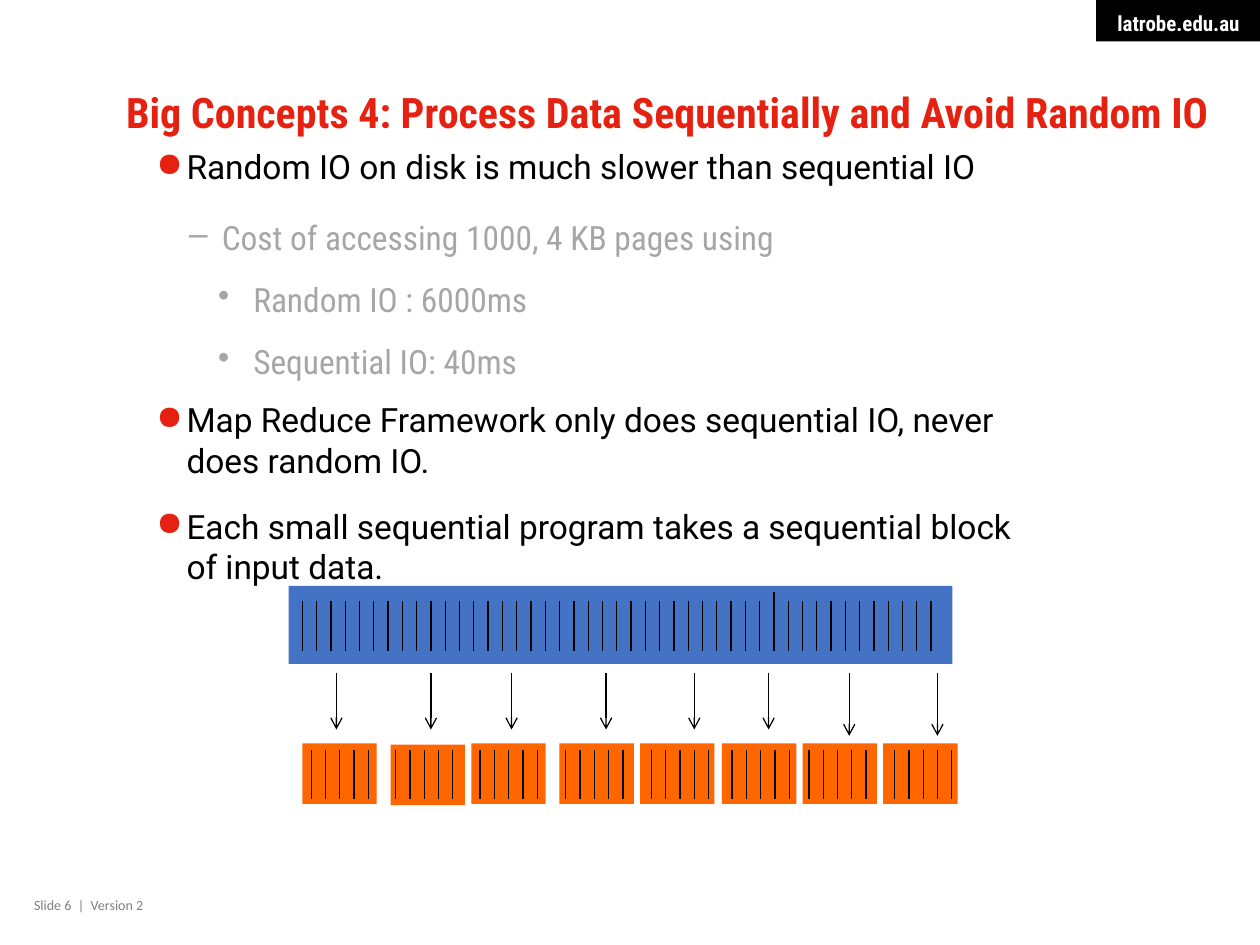
from lxml.etree import SubElement
from pptx import Presentation
from pptx.dml.color import RGBColor
from pptx.enum.shapes import MSO_CONNECTOR, MSO_SHAPE
from pptx.enum.text import MSO_ANCHOR, PP_ALIGN
from pptx.oxml.ns import qn
from pptx.util import Inches, Pt

COLORS = {
    "red": "E52212",
    "black": "000000",
    "white": "FFFFFF",
    "gray": "A6A6A6",
    "footer": "7F7F7F",
    "blue": "4472C4",
    "orange": "FF6600",
}
CONDENSED = "Roboto Condensed"
TICK_GAP = 4.99 / 44
TALL_TICK = 33

LEVELS = [
    dict(mark="●", mark_color="red", left=0.24, hang=0.24, font="Roboto",
         color="black", spacing=None, before=0, after=15),
    dict(mark="–", mark_color="gray", left=0.52, hang=0.26, font=CONDENSED,
         color="gray", spacing=0.9, before=5, after=10),
    dict(mark="•", mark_color="gray", left=0.77, hang=0.28, font=CONDENSED,
         color="gray", spacing=0.9, before=5, after=10),
]
POINTS = [
    (0, "Random IO on disk is much slower than sequential IO"),
    (1, "Cost of accessing 1000, 4 KB pages using"),
    (2, "Random IO : 6000ms"),
    (2, "Sequential IO: 40ms"),
    (0, "Map Reduce Framework only does sequential IO, never does random IO."),
    (0, "Each small sequential program takes a sequential block of input data."),
]
BLOCKS = [
    dict(left=2.40, top=5.90, tick=2.47, arrow=2.67, tip=5.79),
    dict(left=3.10, top=5.91, tick=3.14, arrow=3.42, tip=5.79),
    dict(left=3.74, top=5.90, tick=3.81, arrow=4.06, tip=5.79),
    dict(left=4.44, top=5.90, tick=4.49, arrow=4.81, tip=5.79),
    dict(left=5.08, top=5.90, tick=5.17, arrow=5.51, tip=5.79),
    dict(left=5.73, top=5.90, tick=5.81, arrow=6.10, tip=5.79),
    dict(left=6.37, top=5.90, tick=6.42, arrow=6.74, tip=5.84),
    dict(left=7.01, top=5.90, tick=7.10, arrow=7.44, tip=5.84),
]


class Painter:
    """Hold the style and the current page, and draw each kind of element."""

    def __init__(self, page):
        self.page = page

    def color(self, name):
        return RGBColor.from_string(COLORS[name])

    def rect(self, left, top, width, height, fill):
        box = self.page.shapes.add_shape(
            MSO_SHAPE.RECTANGLE, Inches(left), Inches(top), Inches(width), Inches(height))
        box.shadow.inherit = False
        box.fill.solid()
        box.fill.fore_color.rgb = self.color(fill)
        box.line.fill.background()
        return box

    def frame(self, box, margins=(0, 0, 0, 0), wrap=True):
        frame = box.text_frame
        frame.word_wrap = wrap
        frame.vertical_anchor = MSO_ANCHOR.TOP
        (frame.margin_left, frame.margin_top,
         frame.margin_right, frame.margin_bottom) = map(Inches, margins)
        return frame

    def text_box(self, left, top, width, height, margins=(0, 0, 0, 0)):
        box = self.page.shapes.add_textbox(
            Inches(left), Inches(top), Inches(width), Inches(height))
        return self.frame(box, margins)

    def span(self, para, text, size, font, color, bold=False):
        span = para.add_run()
        span.text = text
        span.font.size = Pt(size)
        span.font.name = font
        span.font.bold = bold
        span.font.color.rgb = self.color(color)

    def point(self, para, level, text):
        style = LEVELS[level]
        para.level = level
        props = para._p.get_or_add_pPr()
        props.set("marL", str(Inches(style["left"])))
        props.set("indent", str(-Inches(style["hang"])))
        tint = SubElement(props, qn("a:buClr"))
        SubElement(tint, qn("a:srgbClr"), val=COLORS[style["mark_color"]])
        SubElement(props, qn("a:buChar"), char=style["mark"])
        para.line_spacing = style["spacing"]
        para.space_before = Pt(style["before"])
        para.space_after = Pt(style["after"])
        self.span(para, text, 19.1, style["font"], style["color"])

    def line(self, x, top, bottom, arrow=False):
        line = self.page.shapes.add_connector(
            MSO_CONNECTOR.STRAIGHT, Inches(x), Inches(top), Inches(x), Inches(bottom))
        line.line.color.rgb = self.color("black")
        line.line.width = Pt(0.75)
        if arrow:
            SubElement(line.line._get_or_add_ln(), qn("a:tailEnd"), type="arrow")
        SubElement(line._element.spPr, qn("a:effectLst"))


def main():
    deck = Presentation()
    deck.slide_width, deck.slide_height = Inches(10), Inches(7.5)
    page = deck.slides.add_slide(deck.slide_layouts[6])
    painter = Painter(page)

    tag = painter.rect(8.7, 0, 1.3, 0.33, "black")
    para = painter.frame(tag, (0.16, 0.08, 0.16, 0.05), wrap=False).paragraphs[0]
    para.alignment = PP_ALIGN.RIGHT
    painter.span(para, "latrobe.edu.au", 12, CONDENSED, "white", bold=True)

    footer = painter.text_box(0.27, 7.07, 2.69, 0.24, (0, 0.05, 0.1, 0.05))
    painter.span(footer.paragraphs[0], "Slide 6  |  Version 2", 8, "Calibri", "footer")

    para = painter.text_box(1, 0.32, 8.68, 0.57).paragraphs[0]
    para.line_spacing = Pt(55)
    painter.span(para, "Big Concepts 4: Process Data Sequentially and Avoid Random IO",
                 24, CONDENSED, "red", bold=True)

    body = painter.text_box(1.24, 1.16, 7.09, 4.04)
    for index, (level, text) in enumerate(POINTS):
        para = body.add_paragraph() if index else body.paragraphs[0]
        painter.point(para, level, text)

    painter.rect(2.29, 4.65, 5.27, 0.62, "blue")
    for index in range(45):
        painter.line(2.4 + index * TICK_GAP, 4.7 if index == TALL_TICK else 4.77, 5.17)

    for block in BLOCKS:
        painter.rect(block["left"], block["top"], 0.59, 0.48, "orange")
        for index in range(5):
            painter.line(block["tick"] + index * TICK_GAP, 5.95, 6.34)
        painter.line(block["arrow"], 5.34, block["tip"], arrow=True)

    deck.save("out.pptx")


if __name__ == "__main__":
    main()
